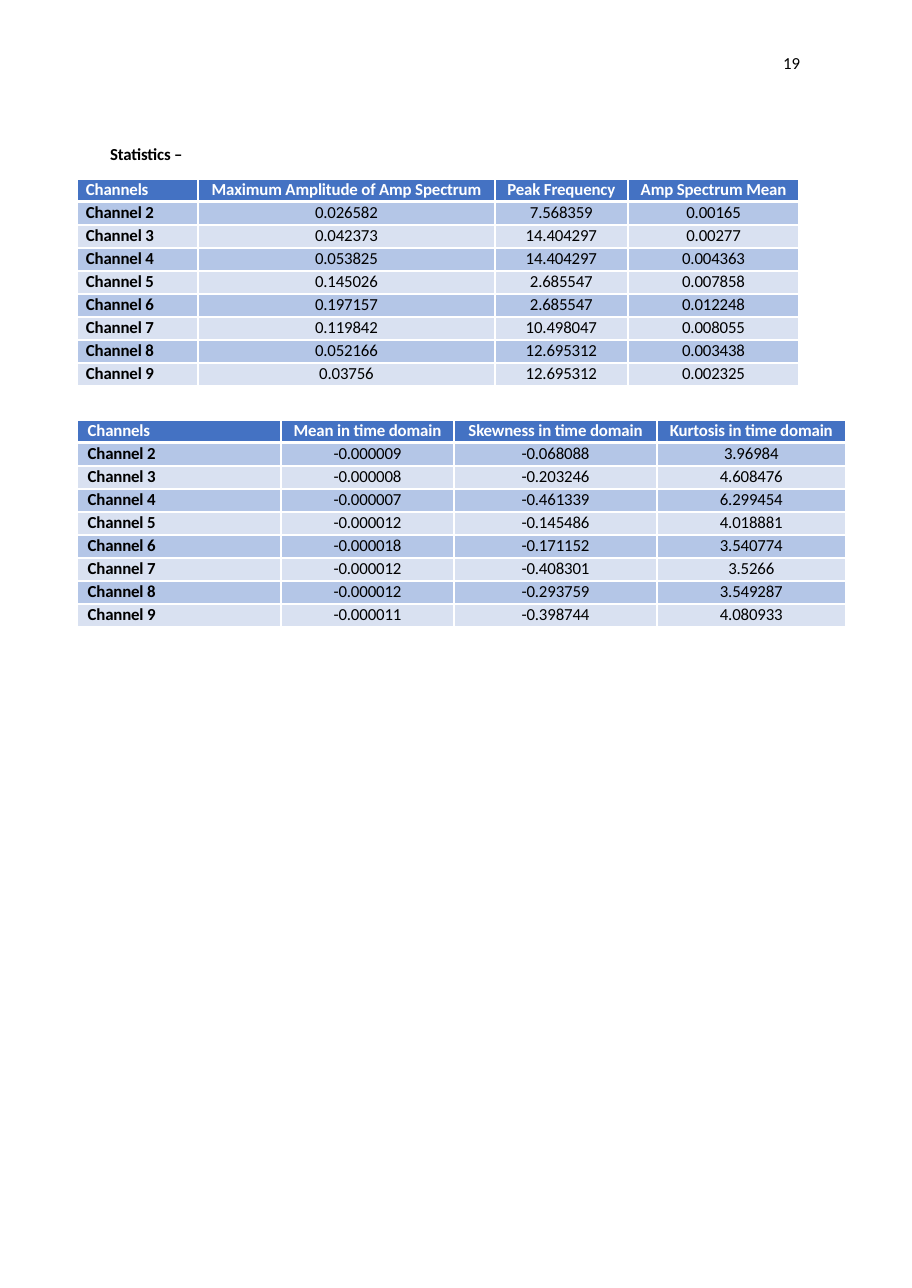
import pptx
import pptx.dml.color
import pptx.enum.text
import pptx.oxml
import pptx.oxml.ns
import pptx.util
from pptx.util import Cm

FONT_NAME = "Calibri"
WHITE = "FFFFFF"
BLACK = "000000"
HEADER_BLUE = "4472C3"
BAND_COLORS = ["B4C6E7", "D9E1F1"]
ROW_HEIGHT = 0.53

CHANNELS = [f"Channel {number}" for number in range(2, 10)]

SPECTRUM_COLUMNS = {
    "Channels": CHANNELS,
    "Maximum Amplitude of Amp Spectrum": [
        "0.026582", "0.042373", "0.053825", "0.145026",
        "0.197157", "0.119842", "0.052166", "0.03756"],
    "Peak Frequency": [
        "7.568359", "14.404297", "14.404297", "2.685547",
        "2.685547", "10.498047", "12.695312", "12.695312"],
    "Amp Spectrum Mean": [
        "0.00165", "0.00277", "0.004363", "0.007858",
        "0.012248", "0.008055", "0.003438", "0.002325"],
}

TIME_DOMAIN_COLUMNS = {
    "Channels": CHANNELS,
    "Mean in time domain": [
        "-0.000009", "-0.000008", "-0.000007", "-0.000012",
        "-0.000018", "-0.000012", "-0.000012", "-0.000011"],
    "Skewness in time domain": [
        "-0.068088", "-0.203246", "-0.461339", "-0.145486",
        "-0.171152", "-0.408301", "-0.293759", "-0.398744"],
    "Kurtosis in time domain": [
        "3.96984", "4.608476", "6.299454", "4.018881",
        "3.540774", "3.5266", "3.549287", "4.080933"],
}


def rgb(hex_color):
    return pptx.dml.color.RGBColor.from_string(hex_color)


def format_text(paragraph, color, bold):
    for run in paragraph.runs:
        run.font.name = FONT_NAME
        run.font.size = pptx.util.Pt(11)
        run.font.bold = bold
        run.font.color.rgb = rgb(color)
        run._r.get_or_add_rPr().set("spc", "-10")


def set_border(cell, side, width):
    line = pptx.oxml.parse_xml(
        f'<a:{side} {pptx.oxml.ns.nsdecls("a")} w="{pptx.util.Pt(width)}">'
        f'<a:solidFill><a:srgbClr val="{WHITE}"/></a:solidFill></a:{side}>')
    cell._tc.get_or_add_tcPr().append(line)


def format_cell(cell, text, row, column, indent):
    is_header = row == 0
    set_border(cell, "lnL", 1.5)
    set_border(cell, "lnR", 1.5)
    set_border(cell, "lnT", 2.25 if row == 1 else 1.5)
    set_border(cell, "lnB", 2.25 if is_header else 1.5)
    cell.fill.solid()
    cell.fill.fore_color.rgb = rgb(HEADER_BLUE if is_header else BAND_COLORS[(row - 1) % 2])
    cell.margin_left = Cm(indent if column == 0 else 0)
    cell.margin_right = cell.margin_bottom = Cm(0)
    cell.margin_top = Cm(0.04)
    cell.text_frame.text = text
    paragraph = cell.text_frame.paragraphs[0]
    paragraph.line_spacing = pptx.util.Pt(12.8)
    paragraph.space_before = pptx.util.Pt(1)
    if column > 0:
        paragraph.alignment = pptx.enum.text.PP_ALIGN.CENTER
    format_text(paragraph, WHITE if is_header else BLACK, is_header or column == 0)


def add_statistics_table(slide, columns, left, top, widths, indent):
    row_count = len(CHANNELS) + 1
    table = slide.shapes.add_table(
        row_count, len(columns), Cm(left), Cm(top),
        Cm(sum(widths)), Cm(ROW_HEIGHT * row_count)).table
    table.horz_banding = False
    for row in table.rows:
        row.height = Cm(ROW_HEIGHT)
    for column, (heading, values) in enumerate(columns.items()):
        table.columns[column].width = Cm(widths[column])
        for row, text in enumerate([heading] + values):
            format_cell(table.cell(row, column), text, row, column, indent)


def format_label(shape, text, left, top, width, bold):
    shape.left, shape.top = Cm(left), Cm(top)
    shape.width, shape.height = Cm(width), Cm(0.53)
    frame = shape.text_frame
    frame.text = text
    frame.word_wrap = False
    frame.auto_size = pptx.enum.text.MSO_AUTO_SIZE.NONE
    frame.vertical_anchor = pptx.enum.text.MSO_ANCHOR.TOP
    frame.margin_left = frame.margin_top = Cm(0.03)
    frame.margin_right = frame.margin_bottom = Cm(0)
    paragraph = frame.paragraphs[0]
    paragraph.alignment = pptx.enum.text.PP_ALIGN.LEFT
    paragraph.line_spacing = 1.0
    paragraph.space_before = pptx.util.Pt(1)
    format_text(paragraph, BLACK, bold)


def add_page_number(slide, text):
    shape = slide.shapes.add_textbox(Cm(18.03), Cm(1.19), Cm(0.46), Cm(0.53))
    format_label(shape, text, 18.03, 1.19, 0.46, False)


def main():
    presentation = pptx.Presentation()
    presentation.slide_width = Cm(21.03)
    presentation.slide_height = Cm(29.69)
    slide = presentation.slides.add_slide(presentation.slide_layouts[5])
    format_label(slide.shapes.title, "Statistics –", 2.51, 3.28, 1.78, True)
    add_page_number(slide, "19")
    add_statistics_table(slide, SPECTRUM_COLUMNS, 1.78, 4.12, [2.79, 6.84, 3.07, 3.95], 0.2)
    add_statistics_table(slide, TIME_DOMAIN_COLUMNS, 1.77, 9.68, [4.7, 4.01, 4.66, 4.37], 0.25)
    presentation.save("out.pptx")


if __name__ == "__main__":
    main()
